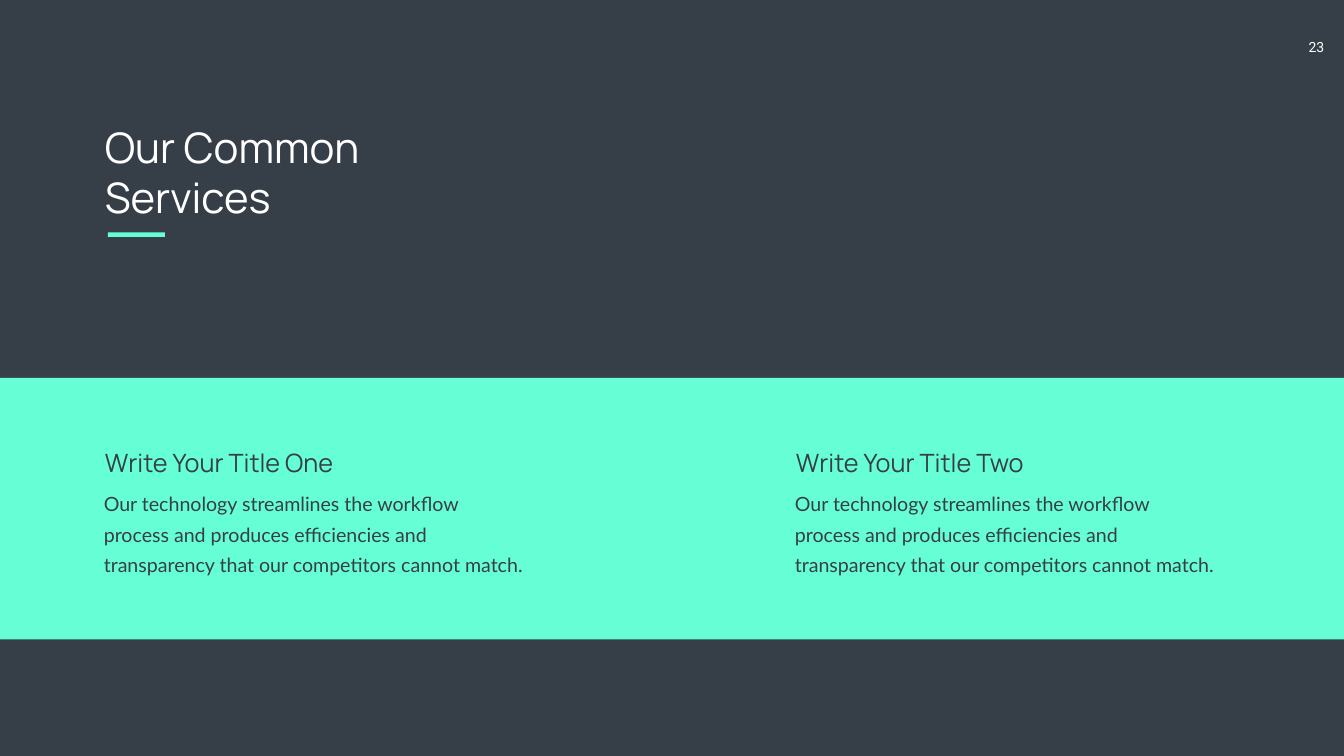
"""Build the services slide: a title above a band with two text columns."""
from dataclasses import dataclass

from lxml import etree
from pptx import Presentation
from pptx.dml.color import RGBColor
from pptx.enum.shapes import MSO_SHAPE
from pptx.enum.text import MSO_ANCHOR, MSO_AUTO_SIZE, PP_ALIGN
from pptx.oxml.ns import qn
from pptx.util import Cm, Pt

RECT = MSO_SHAPE.RECTANGLE
TOP = MSO_ANCHOR.TOP
NO_FIT = MSO_AUTO_SIZE.NONE
LEFT, CENTER = PP_ALIGN.LEFT, PP_ALIGN.CENTER

COMPARISON_LAYOUT = 4
WIDTH, HEIGHT = 67.72, 38.1
MARGIN = 5.03
COLUMN_STEP = 34.82
BODY_INSETS = (0.61, 0.3)
SERVICES_TEXT = ("Our technology streamlines the workflow process and produces "
                 "efficiencies and transparency that our competitors cannot match.")
COLUMNS = [("Write Your Title One", SERVICES_TEXT),
           ("Write Your Title Two", SERVICES_TEXT)]


@dataclass(frozen=True)
class Theme:
    """Colours, fonts and type sizes of the slide."""
    dark: RGBColor = RGBColor.from_string("363E48")
    mint: RGBColor = RGBColor.from_string("66FFD5")
    white: RGBColor = RGBColor.from_string("FFFFFF")
    display: str = "Manrope"
    text: str = "Lato"
    number: str = "Roboto"
    title_size: int = 60
    heading_size: int = 36
    body_size: int = 28
    number_size: int = 20
    body_leading: int = 43


def write_text(sp, text, *, font, size, color, align=LEFT, insets=(0.25, 0.13),
               leading=None, before=0):
    """Put one formatted paragraph into a shape."""
    tf = sp.text_frame
    tf.word_wrap = True
    tf.auto_size = NO_FIT
    tf.vertical_anchor = TOP
    tf.margin_left = tf.margin_right = Cm(insets[0])
    tf.margin_top = tf.margin_bottom = Cm(insets[1])
    p = tf.paragraphs[0]
    p.alignment = align
    p.space_before = Pt(before)
    if leading:
        p.line_spacing = Pt(leading)
    pPr = p._p.get_or_add_pPr()
    pPr.set("marL", "0")
    pPr.set("indent", "0")
    etree.SubElement(pPr, qn("a:buNone"))
    r = p.add_run()
    r.text = text
    r.font.name = font
    r.font.size = Pt(size)
    r.font.bold = False
    r.font.color.rgb = color


class SlideBuilder:
    """Hold the theme and the current slide."""

    def __init__(self, prs, theme):
        """Add a slide with a plain background."""
        self.theme = theme
        self.s = prs.slides.add_slide(prs.slide_layouts[COMPARISON_LAYOUT])
        fill = self.s.background.fill
        fill.solid()
        fill.fore_color.rgb = theme.dark

    def bar(self, left, top, width, height):
        """Add a mint rectangle behind the text."""
        sp = self.s.shapes.add_shape(RECT, Cm(left), Cm(top), Cm(width), Cm(height))
        sp.shadow.inherit = False
        sp.fill.solid()
        sp.fill.fore_color.rgb = self.theme.mint
        sp.line.fill.background()
        self.s.shapes.element.insert(2, sp.element)

    def placeholder(self, idx, box, text, **style):
        """Move a template placeholder and fill it with text."""
        sp = self.s.placeholders[idx]
        sp.left, sp.top, sp.width, sp.height = map(Cm, box)
        write_text(sp, text, **style)

    def title(self, text):
        """Fill the slide title."""
        t = self.theme
        self.placeholder(0, (MARGIN, 5.97, 16.03, 5.38), text,
                         font=t.display, size=t.title_size, color=t.white)

    def column(self, index, heading, body):
        """Fill one heading and the body text under it."""
        t = self.theme
        left = MARGIN + index * COLUMN_STEP
        idx = 1 + 2 * index
        self.placeholder(idx, (left, 22.4, 20.8, 1.8), heading,
                         font=t.display, size=t.heading_size, color=t.dark)
        self.placeholder(idx + 1, (left - 0.41, 24.18, 22.58, 5.03), body,
                         font=t.text, size=t.body_size, color=t.dark,
                         insets=BODY_INSETS, leading=t.body_leading,
                         before=0.2 * t.body_size)

    def page_number(self, text):
        """Add the page number in the top right corner."""
        t = self.theme
        sp = self.s.shapes.add_textbox(Cm(65.05), Cm(1.7), Cm(2.57), Cm(1.37))
        write_text(sp, text, font=t.number, size=t.number_size, color=t.white,
                   align=CENTER, insets=(0.51, 0.25))


def main():
    """Build and save the presentation."""
    prs = Presentation()
    prs.slide_width, prs.slide_height = Cm(WIDTH), Cm(HEIGHT)
    slide = SlideBuilder(prs, Theme())
    slide.bar(0, HEIGHT / 2, WIDTH, 13.18)
    slide.bar(5.44, 11.71, 2.87, 0.23)
    slide.title("Our Common Services")
    for index, (heading, body) in enumerate(COLUMNS):
        slide.column(index, heading, body)
    slide.page_number("23")
    prs.save("out.pptx")


if __name__ == "__main__":
    main()
